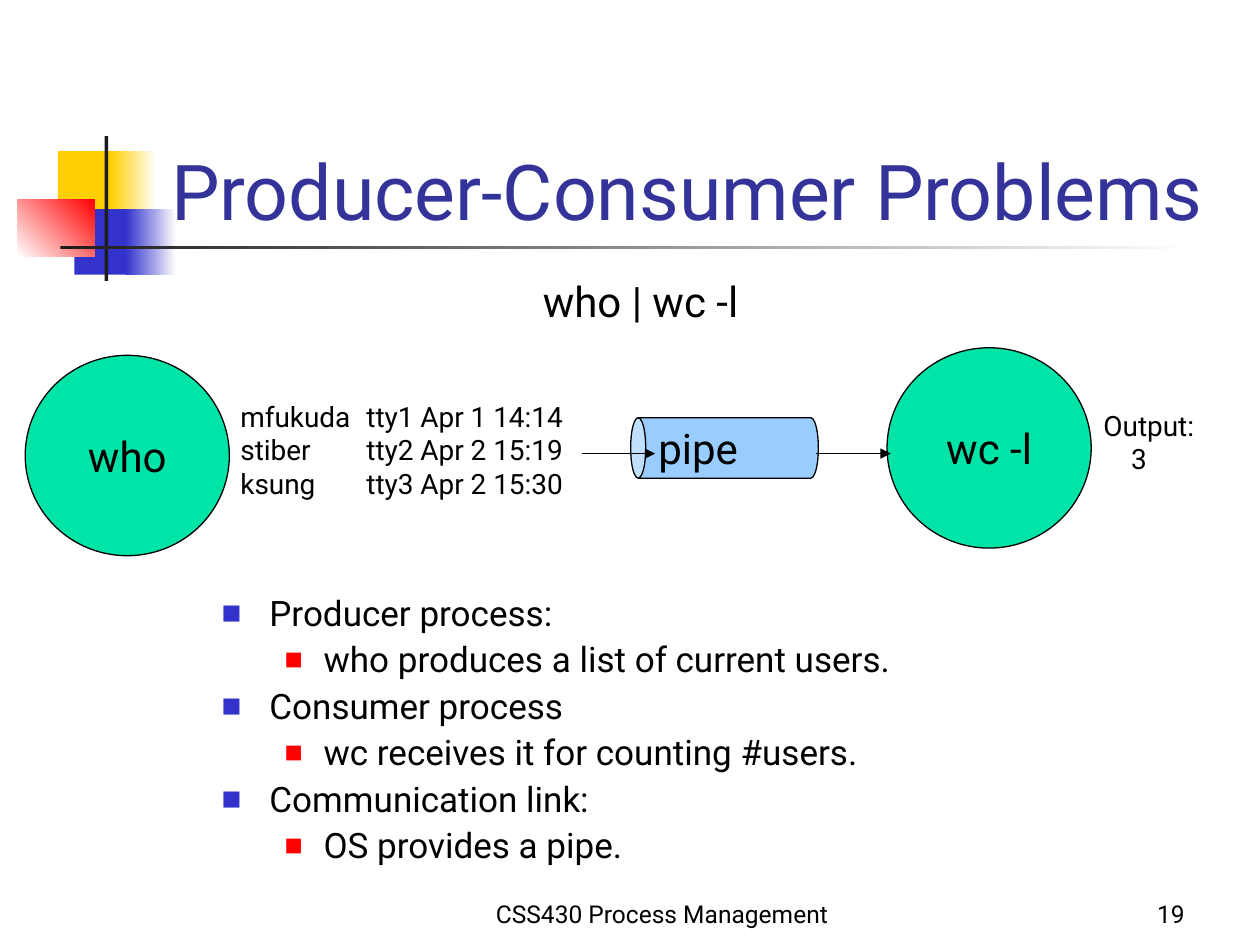
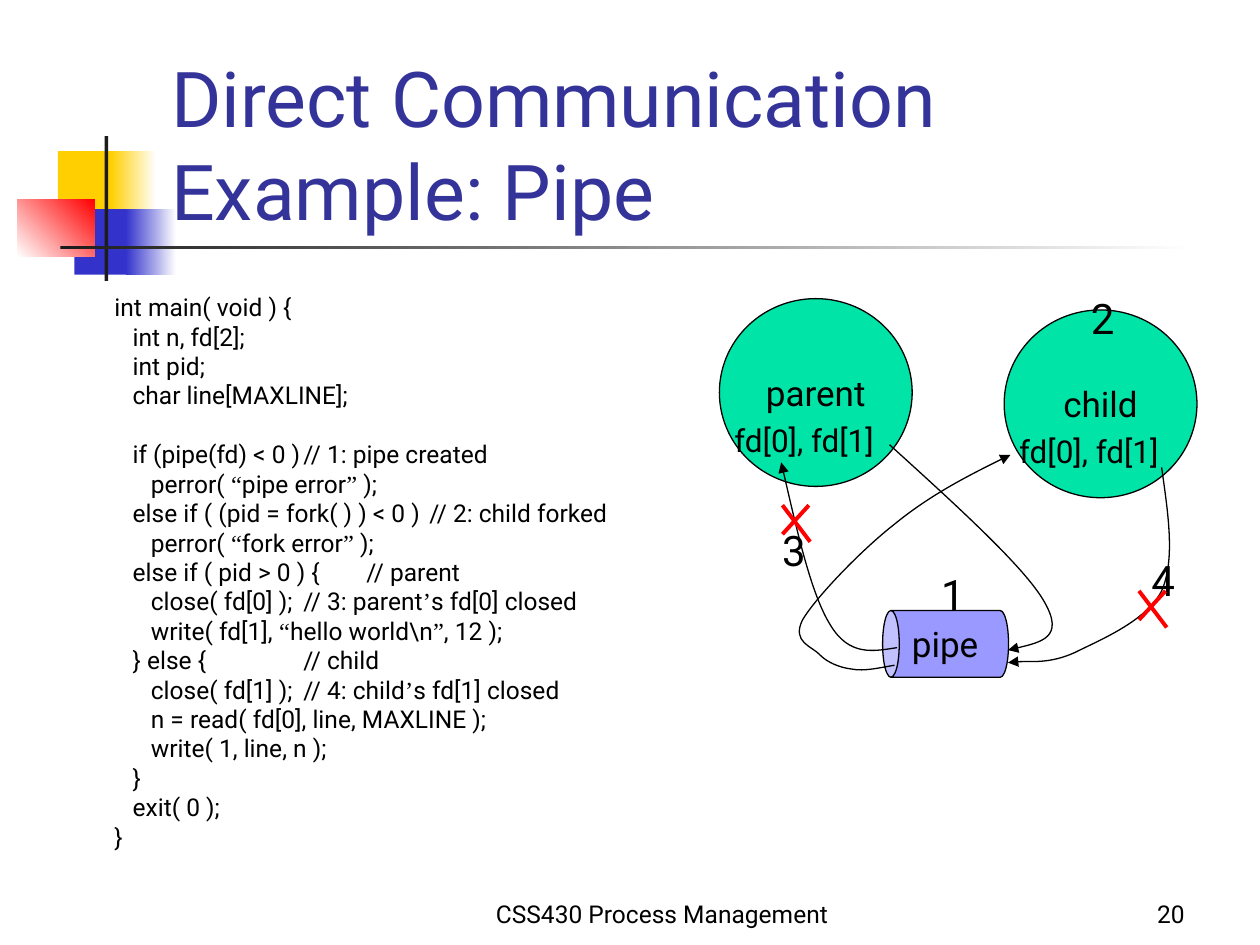
from itertools import groupby

from lxml import etree
from pptx import Presentation
from pptx import util as u
from pptx.dml.color import RGBColor
from pptx.enum import shapes, text
from pptx.oxml.ns import qn

HUES = {
    "ink": "000000", "title": "333399", "gold": "FFCF01", "blue": "3333CC",
    "red": "FF0000", "white": "FFFFFF", "bar": "1C1C1C", "green": "00E4A8",
    "sky": "99CCFF", "lilac": "9999FF",
}
FACE = "Roboto"
QUOTE_FACE = "Times New Roman"
LEFT, MID, RIGHT = text.PP_ALIGN.LEFT, text.PP_ALIGN.CENTER, text.PP_ALIGN.RIGHT
TOP, BASE = text.MSO_ANCHOR.TOP, text.MSO_ANCHOR.BOTTOM

DECOR = [
    ((0.46, 1.2, 0.48, 0.52), ["gold"], 0),
    ((0.88, 1.2, 0.36, 0.52), ["gold", "white"], 0),
    ((0.59, 1.66, 0.46, 0.52), ["blue"], 0),
    ((1, 1.66, 0.4, 0.52), ["blue", "white"], 0),
    ((0.14, 1.58, 0.61, 0.46), ["white", "red"], 45),
    ((0.83, 1.08, 0.03, 1.15), ["bar"], 0),
    ((0.48, 1.95, 9, 0.03), ["bar", "white"], 0),
]
POINTS = [
    ("Producer process:", "who produces a list of current users."),
    ("Consumer process", "wc receives it for counting #users."),
    ("Communication link:", "OS provides a pipe."),
]
USERS = [
    "mfukuda\ttty1 Apr 1 14:14",
    "stiber\ttty2 Apr 2 15:19",
    "ksung\ttty3 Apr 2 15:30",
]
HEAD = """int main( void ) {
   int n, fd[2];
   int pid;
   char line[MAXLINE];""".split("\n")
BODY = r"""   if (pipe(fd) < 0 )	// 1: pipe created
      perror( “pipe error” );
   else if ( (pid = fork( ) ) < 0 )	// 2: child forked
      perror( “fork error” );
   else if ( pid > 0 ) {	// parent
      close( fd[0] );	// 3: parent’s fd[0] closed
      write( fd[1], “hello world\n”, 12 );
   } else {		// child
      close( fd[1] );	// 4: child’s fd[1] closed
      n = read( fd[0], line, MAXLINE );
      write( 1, line, n );
   }
   exit( 0 );
}""".split("\n")
WRITE_OUT = [(7.06, 3.53), (7.6, 4.02), (8.14, 4.51), (8.29, 4.78),
             (8.45, 5.06), (8.22, 5.11), (8, 5.16)]
READ_BACK = [(7.12, 5.14), (6.93, 5.17), (6.74, 5.21), (6.59, 4.96),
             (6.44, 4.72), (6.32, 4.19), (6.2, 3.67)]
CHILD_OUT = [(9.22, 3.71), (9.27, 4.07), (9.33, 4.44), (9.22, 4.69),
             (9.1, 4.93), (8.73, 5.08), (8.53, 5.18),
             (8.33, 5.27), (8.09, 5.24), (8, 5.26)]
CHILD_IN = [(7.1, 5.28), (6.98, 5.3), (6.86, 5.33), (6.76, 5.31),
            (6.67, 5.3), (6.57, 5.26), (6.51, 5.2),
            (6.45, 5.13), (6.28, 5.1), (6.37, 4.92),
            (6.47, 4.75), (6.82, 4.38), (7.1, 4.16),
            (7.37, 3.94), (7.69, 3.77), (8.02, 3.61)]


def hue(name):
    return RGBColor.from_string(HUES[name])


def inch(*sizes):
    return [u.Inches(size) for size in sizes]


def style(para, size, tint="ink", align=LEFT):
    para.alignment = align
    para.font.size = u.Pt(size)
    para.font.name = FACE
    para.font.color.rgb = hue(tint)


def fill(frame, lines):
    for i, line in enumerate(lines):
        para = frame.paragraphs[0] if i == 0 else frame.add_paragraph()
        for quote, part in groupby(line, lambda c: c in "“”’"):
            run = para.add_run()
            run.text = "".join(part)
            if quote:
                run.font.name = QUOTE_FACE
        yield para


def label(slide, at, lines, size, tint="ink", align=LEFT, anchor=TOP):
    frame = slide.shapes.add_textbox(*inch(*at)).text_frame
    frame.word_wrap = True
    frame.vertical_anchor = anchor
    for para in fill(frame, lines):
        style(para, size, tint, align)
    return frame


def block(slide, at, tints, angle):
    item = slide.shapes.add_shape(shapes.MSO_SHAPE.RECTANGLE, *inch(*at))
    item.shadow.inherit = False
    item.line.fill.background()
    if len(tints) == 1:
        item.fill.solid()
        item.fill.fore_color.rgb = hue(tints[0])
        return
    item.fill.gradient()
    item.fill.gradient_angle = angle
    for stop, tint in zip(item.fill.gradient_stops, tints):
        stop.color.rgb = hue(tint)


def node(slide, kind, at, word, size, tint):
    item = slide.shapes.add_shape(kind, *inch(*at))
    item.shadow.inherit = False
    item.fill.solid()
    item.fill.fore_color.rgb = hue(tint)
    stroke(item)
    frame = item.text_frame
    frame.word_wrap = False
    frame.vertical_anchor = text.MSO_ANCHOR.MIDDLE
    for para in fill(frame, [word]):
        style(para, size, align=MID)
    return item


def disc(slide, at, word, size):
    node(slide, shapes.MSO_SHAPE.OVAL, at, word, size, "green")


def pipe(slide, at, size, tint):
    item = node(slide, shapes.MSO_SHAPE.CAN, at, "pipe", size, tint)
    item.rotation = 270
    item.adjustments[0] = 0.25
    frame = item.text_frame
    frame.margin_left = frame.margin_right = u.Inches(0.05)
    frame.margin_top = frame.margin_bottom = u.Inches(0.1)
    frame._txBody.bodyPr.set("vert", "eaVert")


def stroke(item, tint="ink", width=0.75, arrow=False):
    item.line.color.rgb = hue(tint)
    item.line.width = u.Pt(width)
    if arrow:
        ln = item.line._get_or_add_ln()
        etree.SubElement(ln, qn("a:tailEnd"), type="triangle")


def link(slide, ends, **look):
    item = slide.shapes.add_connector(shapes.MSO_CONNECTOR.STRAIGHT, *inch(*ends))
    stroke(item, **look)
    etree.SubElement(item._element.spPr, qn("a:effectLst"))


def cross(slide, x, y):
    for ends in ((x, y, x + 0.22, y + 0.29), (x + 0.21, y, x, y + 0.23)):
        link(slide, ends, tint="red", width=2.25)


def curve(slide, dots):
    start, *rest = [inch(*dot) for dot in dots]
    pen = slide.shapes.build_freeform(*start)
    pen.add_line_segments(rest, close=False)
    item = pen.convert_to_shape()
    item.shadow.inherit = False
    item.fill.background()
    stroke(item, arrow=True)
    route = item._element.find(".//" + qn("a:path"))
    steps = route.findall(qn("a:lnTo"))
    for i in range(0, len(steps), 3):
        bend = etree.SubElement(route, qn("a:cubicBezTo"))
        for step in steps[i:i + 3]:
            bend.append(step[0])
            route.remove(step)


def bullet(para, left, hang, tint, scale):
    props = para._p.get_or_add_pPr()
    props.set("marL", str(u.Inches(left)))
    props.set("indent", str(-u.Inches(hang)))
    shade = etree.SubElement(props, qn("a:buClr"))
    etree.SubElement(shade, qn("a:srgbClr"), val=HUES[tint])
    etree.SubElement(props, qn("a:buSzPct"), val=str(scale * 1000))
    etree.SubElement(props, qn("a:buFont"), typeface=FACE)
    etree.SubElement(props, qn("a:buChar"), char="■")


def outline(slide, at, pairs):
    frame = slide.shapes.add_textbox(*inch(*at)).text_frame
    frame.word_wrap = True
    lines = [line for pair in pairs for line in pair]
    for i, para in enumerate(fill(frame, lines)):
        if i % 2:
            para.level = 1
            bullet(para, 0.81, 0.31, "red", 55)
        else:
            bullet(para, 0.38, 0.38, "blue", 60)
        para.line_spacing = 0.9
        para.space_before = u.Pt(5 if i else 0)
        style(para, 20)


def page(deck, title, number):
    slide = deck.slides.add_slide(deck.slide_layouts[6])
    for at, tints, angle in DECOR:
        block(slide, at, tints, angle)
    label(slide, (3.67, 6.92, 3.17, 0.5), ["CSS430 Process Management"], 14,
          align=MID, anchor=BASE)
    label(slide, (7.42, 6.92, 2.08, 0.5), [str(number)], 14,
          align=RIGHT, anchor=BASE)
    label(slide, (1.26, 0.67, 8.52, 1.25), [title], 44, "title", anchor=BASE)
    return slide


def shell(deck):
    slide = page(deck, "Producer-Consumer Problems", 19)
    outline(slide, (1.66, 4.68, 7.25, 2.3), POINTS)
    label(slide, (4.21, 2.14, 1.93, 0.5), ["who | wc -l"], 24)
    disc(slide, (0.2, 2.82, 1.62, 1.59), "who", 24)
    disc(slide, (7.04, 2.76, 1.62, 1.59), "wc -l", 24)
    pipe(slide, (5.51, 2.81, 0.48, 1.49), 24, "sky")
    for x, end in ((4.62, 5.2), (6.48, 7.07)):
        link(slide, (x, 3.6, end, 3.6), arrow=True)
    label(slide, (1.81, 3.12, 2.83, 0.9), USERS, 16)
    frame = label(slide, (8.66, 3.19, 1, 0.64), ["Output:", "3"], 16)
    frame.paragraphs[1]._p.get_or_add_pPr().set("marL", str(u.Inches(0.22)))


def code(deck):
    slide = page(deck, "Direct Communication Example: Pipe", 20)
    frame = label(slide, (0.81, 2.27, 4.69, 4.54), HEAD + BODY, 14)
    frame.paragraphs[len(HEAD)].space_before = u.Pt(16.8)
    for x, y, word in ((5.71, 2.37, "parent"), (7.97, 2.46, "child")):
        disc(slide, (x, y, 1.53, 1.49), word, 20)
        label(slide, (x + 0.02, y + 0.92, 1.42, 0.4), ["fd[0], fd[1]"], 18)
    pipe(slide, (7.24, 4.61, 0.53, 1), 20, "lilac")
    for dots in (WRITE_OUT, READ_BACK, CHILD_OUT, CHILD_IN):
        curve(slide, dots)
    steps = [(7.37, 4.46), (8.56, 2.27), (6.11, 4.11), (9.04, 4.35)]
    for i, (x, y) in enumerate(steps, 1):
        label(slide, (x, y, 0.39, 0.5), [str(i)], 24)
    cross(slide, 9.04, 4.69)
    cross(slide, 6.21, 4.01)


def main():
    deck = Presentation()
    deck.slide_width, deck.slide_height = inch(10, 7.5)
    shell(deck)
    code(deck)
    deck.save("out.pptx")


if __name__ == "__main__":
    main()
